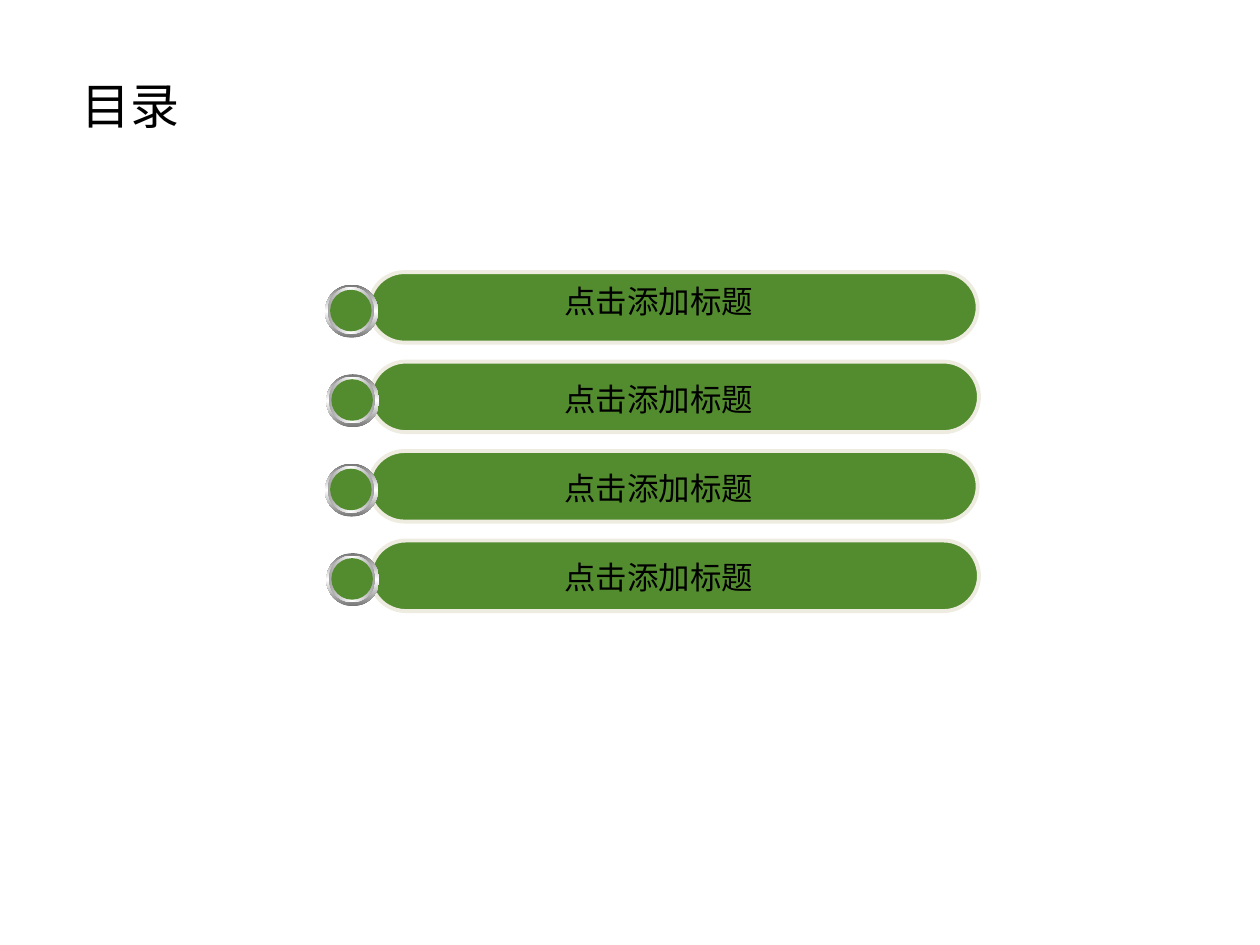
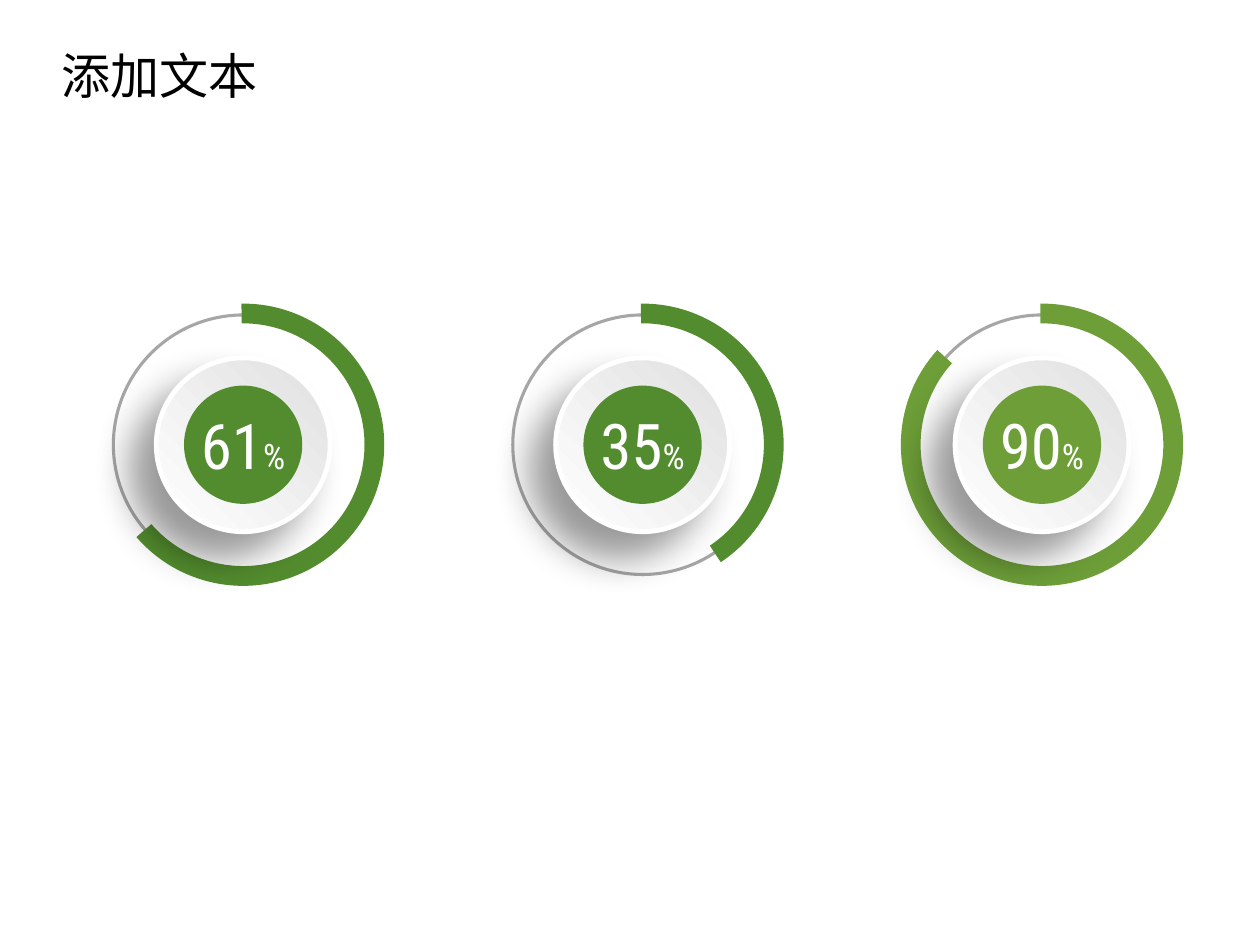
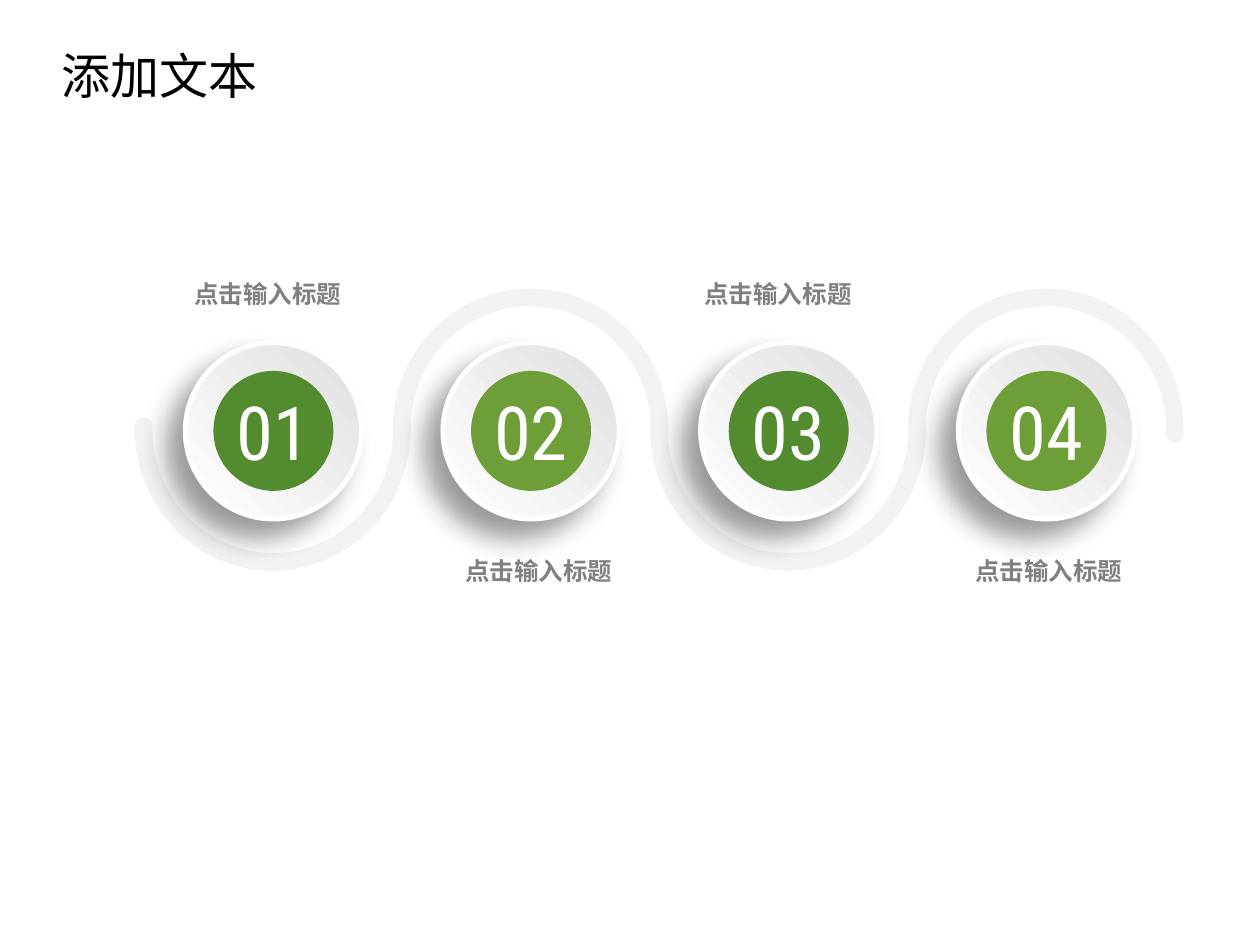
from copy import deepcopy

from lxml.etree import SubElement
from pptx import Presentation
from pptx.dml.color import RGBColor
from pptx.enum.shapes import MSO_SHAPE
from pptx.enum.text import MSO_ANCHOR, PP_ALIGN
from pptx.oxml.ns import qn
from pptx.util import Inches, Pt

GREEN = RGBColor(0x53, 0x8C, 0x2E)
LIME = RGBColor(0x6D, 0x9E, 0x38)
WHITE = RGBColor(0xFF, 0xFF, 0xFF)
BLACK = RGBColor(0x00, 0x00, 0x00)
CREAM = RGBColor(0xEE, 0xEC, 0xE1)
STEEL = RGBColor(0x76, 0x76, 0x76)
SILVER = RGBColor(0xA2, 0xA2, 0xA2)
GRAY = RGBColor(0xA6, 0xA6, 0xA6)
SLATE = RGBColor(0x80, 0x80, 0x80)
PEARL = RGBColor(0xE0, 0xE0, 0xE0)
MIST = RGBColor(0xF2, 0xF2, 0xF2)
HAN = "Noto Sans CJK SC"
ROBOTO = "Roboto Condensed"


def write(shape, text, size=18, font=HAN, color=BLACK, bold=False,
          align=PP_ALIGN.LEFT, anchor=MSO_ANCHOR.TOP, inset=(0.1, 0.05), wrap=False):
    """Append a formatted run to the first paragraph of a shape."""
    frame = shape.text_frame
    frame.word_wrap = wrap
    frame.vertical_anchor = anchor
    frame.margin_left = frame.margin_right = Inches(inset[0])
    frame.margin_top = frame.margin_bottom = Inches(inset[1])
    para = frame.paragraphs[0]
    para.alignment = align
    run = para.add_run()
    run.text = text
    run.font.size = Pt(size)
    run.font.name = font
    run.font.bold = bold
    run.font.color.rgb = color
    SubElement(run.font._element, qn("a:ea"), typeface=font)


def label(slide, text, left, top, width, height, **style):
    """Add a text box."""
    box = slide.shapes.add_textbox(*map(Inches, (left, top, width, height)))
    write(box, text, **style)


def draw(slide, kind, left, top, width, height, fill=None, line=None, weight=1, adjust=()):
    """Add a preset shape with a flat fill and line."""
    shape = slide.shapes.add_shape(kind, *map(Inches, (left, top, width, height)))
    shape.shadow.inherit = False
    for i, value in enumerate(adjust):
        shape.adjustments[i] = value
    if fill is None:
        shape.fill.background()
    else:
        shape.fill.solid()
        shape.fill.fore_color.rgb = fill
    if line is None:
        shape.line.fill.background()
    else:
        shape.line.color.rgb = line
        shape.line.width = Pt(weight)
    return shape


def disc(slide, left, top, size, **style):
    """Add a circle."""
    return draw(slide, MSO_SHAPE.OVAL, left, top, size, size, **style)


def blend(shape, colors, angle):
    """Fill a shape with an even gradient."""
    shape.fill.gradient()
    shape.fill.gradient_angle = angle
    stops = shape.element.spPr.find(".//" + qn("a:gsLst"))
    while len(stops) < len(colors):
        stops.append(deepcopy(stops[-1]))
    for i, (stop, color) in enumerate(zip(shape.fill.gradient_stops, colors)):
        stop.color.rgb = color
        stop.position = i / (len(colors) - 1)


def shade(shape, blur, gap):
    """Cast a soft shadow down and to the left."""
    effects = shape.element.spPr.find(qn("a:effectLst"))
    cast = SubElement(effects, qn("a:outerShdw"), blurRad=str(Pt(blur)), dist=str(Pt(gap)),
                      dir=str(135 * 60000), algn="ctr", rotWithShape="0")
    tone = SubElement(cast, qn("a:srgbClr"), val=str(BLACK))
    SubElement(tone, qn("a:alpha"), val="40000")


def knob(slide, left, top, size, color, blur, gap):
    """Add a raised dial and return its coloured core."""
    dial = disc(slide, left, top, size, line=WHITE, weight=2.75)
    blend(dial, (PEARL, WHITE), 225)
    shade(dial, blur, gap)
    inset = size * 0.16
    return disc(slide, left + inset, top + inset, size - 2 * inset, fill=color)


def page(deck, text, left, top, width):
    """Add a slide with its title."""
    slide = deck.slides.add_slide(deck.slide_layouts[5])
    title = slide.shapes.title
    title.left, title.top, title.width, title.height = map(Inches, (left, top, width, 0.57))
    write(title, text, size=28)
    return slide


def entry(slide, left, top, drop):
    """Add one bar of the contents with its bead."""
    draw(slide, MSO_SHAPE.ROUNDED_RECTANGLE, left, top, 4.83, 0.56,
         fill=GREEN, line=CREAM, weight=2.25, adjust=[0.5])
    for dx, dy, size, rim, angle in ((-0.35, 0.1, 0.42, STEEL, 90), (-0.33, 0.12, 0.37, SILVER, 0)):
        blend(disc(slide, left + dx, top + dy, size), (rim, WHITE, rim), angle)
    disc(slide, left - 0.31, top + 0.14, 0.33, fill=GREEN)
    label(slide, "点击添加标题", 4.38, top + drop, 1.72, 0.4)


def gauge(slide, left, top, value, color, end, thick):
    """Add one percentage ring around a dial."""
    disc(slide, left + 0.09, top + 0.09, 2.06, line=GRAY, weight=1.75)
    draw(slide, MSO_SHAPE.BLOCK_ARC, left, top, 2.24, 2.24, fill=color,
         adjust=(161.59, end, thick))
    core = knob(slide, left + 0.43, top + 0.43, 1.38, color, 22, 20)
    for text, size in ((value, 36), ("%", 20)):
        write(core, text, size=size, font=ROBOTO, color=WHITE, align=PP_ALIGN.CENTER,
              anchor=MSO_ANCHOR.MIDDLE, inset=(0, 0))


def wave(slide, left, top, step, count):
    """Add the winding path of half circles."""
    for i in range(count):
        bend = draw(slide, MSO_SHAPE.ARC, left + i * step, top, 2.05, 2.1,
                    line=MIST, weight=10, adjust=(214.5, 109))
        bend.rotation = 180 * (i % 2)
        bend.element.spPr.find(qn("a:ln")).set("cap", "rnd")


def stage(slide, left, top, number, color):
    """Add one numbered dial."""
    core = knob(slide, left, top, 1.4, color, 16, 14)
    write(core, f"{number:02}", size=42.6, font=ROBOTO, color=WHITE, wrap=True,
          align=PP_ALIGN.CENTER, anchor=MSO_ANCHOR.MIDDLE, inset=(0, 0))


def agenda(deck):
    """Build the contents slide."""
    slide = page(deck, "目录", 0.55, 0.55, 1.09)
    for i, drop in enumerate((0.03, 0.1, 0.09, 0.09)):
        entry(slide, 2.93 + 0.01 * (i % 2), 2.16 + 0.71 * i, drop)


def gauges(deck):
    """Build the slide of percentage rings."""
    slide = page(deck, "添加文本", 0.39, 0.31, 1.77)
    rows = (("61", GREEN, 83.47, 0.07), ("35", GREEN, 33.79, 0.07), ("90", LIME, 133.28, 0.07))
    for i, row in enumerate(rows):
        gauge(slide, 0.81 + 3.17 * i, 2.41, *row)


def stages(deck):
    """Build the slide of numbered stages."""
    slide = page(deck, "添加文本", 0.39, 0.31, 1.77)
    step = 2.045
    wave(slide, 1.14, 2.36, step, 4)
    for i, left in enumerate((1.32, 3.47, 5.46, 7.61)):
        label(slide, "点击输入标题", left, (2.18, 4.38)[i % 2], 1.52, 0.3, size=14,
              font="Arial", color=SLATE, bold=True, wrap=True, inset=(0.13, 0.07),
              align=PP_ALIGN.RIGHT if i < 2 else PP_ALIGN.LEFT, anchor=MSO_ANCHOR.MIDDLE)
    for i in range(4):
        stage(slide, 1.47 + step * i, 2.72, i + 1, (GREEN, LIME)[i % 2])


def main():
    """Build and save the deck."""
    deck = Presentation()
    deck.slide_width, deck.slide_height = Inches(10), Inches(7.5)
    agenda(deck)
    gauges(deck)
    stages(deck)
    deck.save("out.pptx")


if __name__ == "__main__":
    main()
